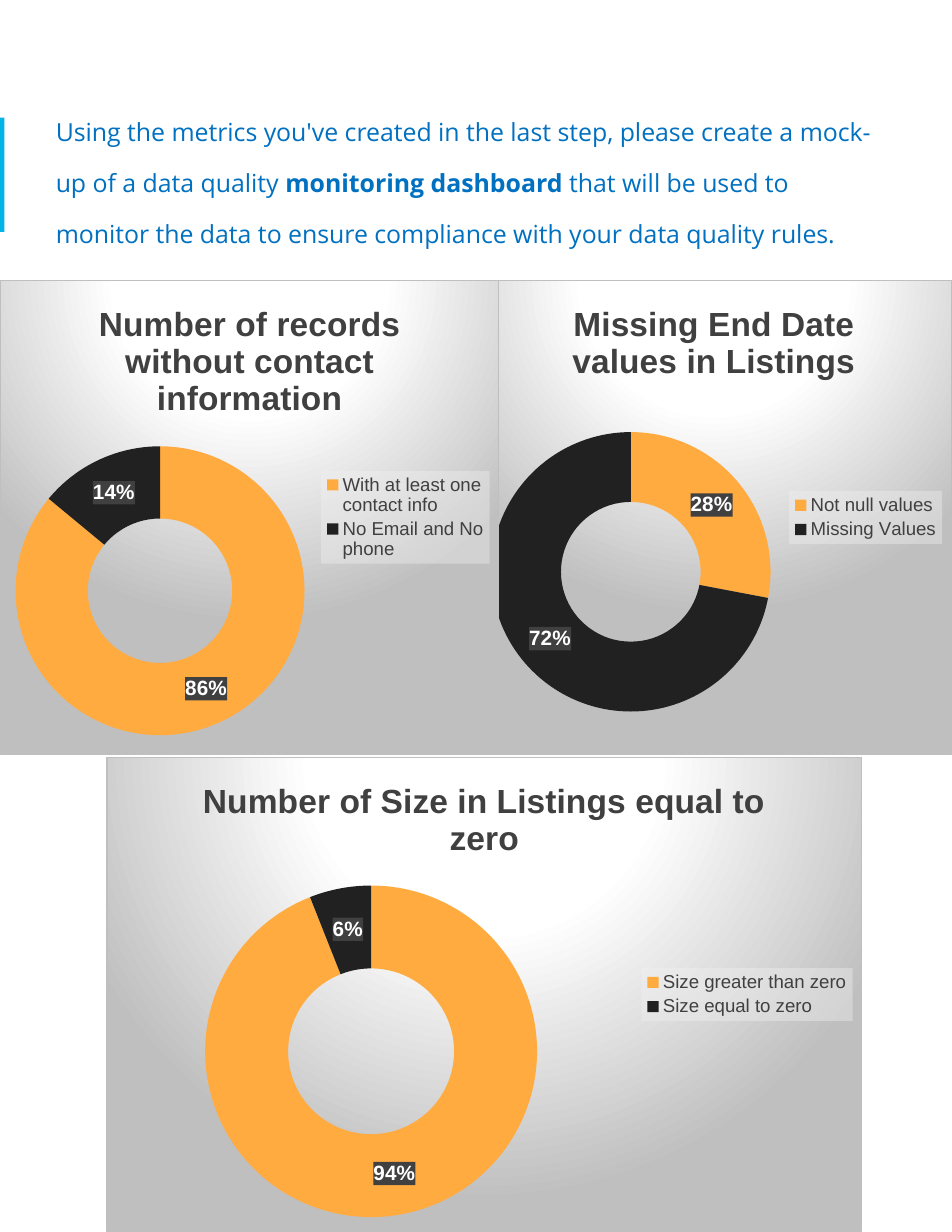
"""Build the data quality monitoring dashboard slide."""
import dataclasses

import lxml.etree
import pptx
import pptx.chart.data
import pptx.dml.color
import pptx.enum.chart
import pptx.enum.shapes
import pptx.enum.text
import pptx.oxml
import pptx.oxml.ns
import pptx.util


@dataclasses.dataclass(frozen=True)
class Theme:
    accent: str = "02B4E5"
    prompt: str = "0070C0"
    slices: tuple = ("FFAB40", "212121")
    ink: str = "404040"
    light: str = "FFFFFF"
    legend_back: str = "F2F2F2"
    edge: str = "BFBFBF"
    prompt_font: str = "Open Sans"
    chart_font: str = "Arial"
    prompt_size: float = 16
    title_size: float = 21.6
    label_size: float = 13.3
    legend_size: float = 12
    base_size: float = 10


class Dashboard:
    def __init__(self, slide, width, height, theme):
        self.slide, self.width, self.height, self.theme = slide, width, height, theme

    def box(self, left, top, width, height):
        return (int(left * self.width), int(top * self.height),
                int(width * self.width), int(height * self.height))

    def style(self, font, name, size, color, bold=False):
        font.name, font.size, font.bold = name, pptx.util.Pt(size), bold
        font.color.rgb = pptx.dml.color.RGBColor.from_string(color)

    def bar(self, *place):
        shape = self.slide.shapes.add_shape(
            pptx.enum.shapes.MSO_SHAPE.RECTANGLE, *self.box(*place))
        shape.shadow.inherit = False
        shape.fill.solid()
        shape.fill.fore_color.rgb = pptx.dml.color.RGBColor.from_string(self.theme.accent)
        shape.line.fill.background()

    def prompt(self, place, runs):
        frame = self.slide.shapes.add_textbox(*self.box(*place)).text_frame
        frame.word_wrap = True
        frame.vertical_anchor = pptx.enum.text.MSO_ANCHOR.TOP
        for side in ("left", "top", "right", "bottom"):
            setattr(frame, f"margin_{side}", pptx.util.Inches(0.1))
        paragraph = frame.paragraphs[0]
        paragraph.line_spacing = 1.7
        for text, bold in runs:
            run = paragraph.add_run()
            run.text = text
            self.style(run.font, self.theme.prompt_font, self.theme.prompt_size,
                       self.theme.prompt, bold)

    def properties(self, fill, line=""):
        return pptx.oxml.parse_xml(
            f'<c:spPr {pptx.oxml.ns.nsdecls("c", "a")}>{fill}{line}</c:spPr>')

    def solid(self, color, opacity):
        return (f'<a:solidFill><a:srgbClr val="{color}"><a:alpha val="{opacity * 1000}"/>'
                '</a:srgbClr></a:solidFill>')

    def background(self):
        theme = self.theme
        stops = "".join(
            f'<a:gs pos="{share * 1000}"><a:srgbClr val="{color}"/></a:gs>'
            for share, color in ((0, theme.light), (39, theme.light), (100, theme.edge)))
        return self.properties(
            f'<a:gradFill><a:gsLst>{stops}</a:gsLst><a:path path="circle">'
            '<a:fillToRect l="50000" t="-80000" r="50000" b="180000"/></a:path></a:gradFill>',
            f'<a:ln w="9525"><a:solidFill><a:srgbClr val="{theme.edge}"/></a:solidFill></a:ln>')

    def plot_layout(self, plot_place):
        values = "".join(f'<c:{name} val="{value}"/>'
                         for name, value in zip("xywh", plot_place))
        return pptx.oxml.parse_xml(
            f'<c:layout {pptx.oxml.ns.nsdecls("c")}><c:manualLayout>'
            '<c:layoutTarget val="inner"/><c:xMode val="edge"/><c:yMode val="edge"/>'
            f'{values}</c:manualLayout></c:layout>')

    def doughnut(self, place, plot_place, title, points):
        theme = self.theme
        data = pptx.chart.data.CategoryChartData()
        data.categories = [name for name, value in points]
        data.add_series("Series 1", [value for name, value in points])
        chart = self.slide.shapes.add_chart(
            pptx.enum.chart.XL_CHART_TYPE.DOUGHNUT, *self.box(*place), data).chart
        self.style(chart.font, theme.chart_font, theme.base_size, "000000")

        chart.has_title = True
        run = chart.chart_title.text_frame.paragraphs[0].add_run()
        run.text = title
        self.style(run.font, theme.chart_font, theme.title_size, theme.ink, True)
        chart.chart_title.include_in_layout = False

        chart.has_legend = True
        legend = chart.legend
        legend.position = pptx.enum.chart.XL_LEGEND_POSITION.RIGHT
        legend.include_in_layout = False
        self.style(legend.font, theme.chart_font, theme.legend_size, theme.ink)
        legend._element.find(pptx.oxml.ns.qn("c:txPr")).addprevious(
            self.properties(self.solid(theme.legend_back, 39)))

        plot = chart.plots[0]
        plot.vary_by_categories = True
        for index, color in enumerate(theme.slices):
            fill = plot.series[0].points[index].format.fill
            fill.solid()
            fill.fore_color.rgb = pptx.dml.color.RGBColor.from_string(color)
        labels = plot.series[0].data_labels
        labels.show_value = False
        labels.show_percentage = True
        labels.show_legend_key = False
        self.style(labels.font, theme.chart_font, theme.label_size, theme.light, True)
        labels._element.find(pptx.oxml.ns.qn("c:txPr")).addprevious(
            self.properties(self.solid(theme.ink, 75)))

        space = chart._chartSpace
        area = space.find(".//" + pptx.oxml.ns.qn("c:plotArea"))
        for layout in area.findall(pptx.oxml.ns.qn("c:layout")):
            area.remove(layout)
        area.insert(0, self.plot_layout(plot_place))
        area.find(".//" + pptx.oxml.ns.qn("c:holeSize")).set("val", "50")
        space.find(pptx.oxml.ns.qn("c:chart")).addnext(self.background())


presentation = pptx.Presentation()
presentation.slide_width = pptx.util.Inches(8.5)
presentation.slide_height = pptx.util.Inches(11)
slide = presentation.slides.add_slide(presentation.slide_layouts[6])
dashboard = Dashboard(slide, presentation.slide_width, presentation.slide_height, Theme())

dashboard.bar(0, 1.05 / 11, 0.04 / 8.5, 1.02 / 11)
dashboard.prompt((0.4 / 8.5, 0.76 / 11, 7.56 / 8.5, 1.5 / 11), [
    ("Using the metrics you've created in the last step, please create a mock-up "
     "of a data quality ", False),
    ("monitoring dashboard", True),
    (" that will be used to monitor the data to ensure compliance with your data "
     "quality rules.", False)])

chart_height = 4.24 / 11
upper_row, lower_row = 2.5 / 11, 6.76 / 11
for place, plot_place, title, points in (
        ((0.5, upper_row, 0.5, chart_height), (0.03, 0.32, 0.59, 0.59),
         "Missing End Date values in Listings",
         [("Not null values", 28), ("Missing Values", 72)]),
        ((0, upper_row, 4.46 / 8.5, chart_height), (0.03, 0.35, 0.58, 0.61),
         "Number of records without contact information",
         [("With at least one contact info", 86), ("No Email and No phone", 14)]),
        ((0.95 / 8.5, lower_row, 6.75 / 8.5, chart_height), (0.13, 0.27, 0.44, 0.7),
         "Number of Size in Listings equal to zero",
         [("Size greater than zero", 94), ("Size equal to zero", 6)])):
    dashboard.doughnut(place, plot_place, title, points)

presentation.save("out.pptx")
